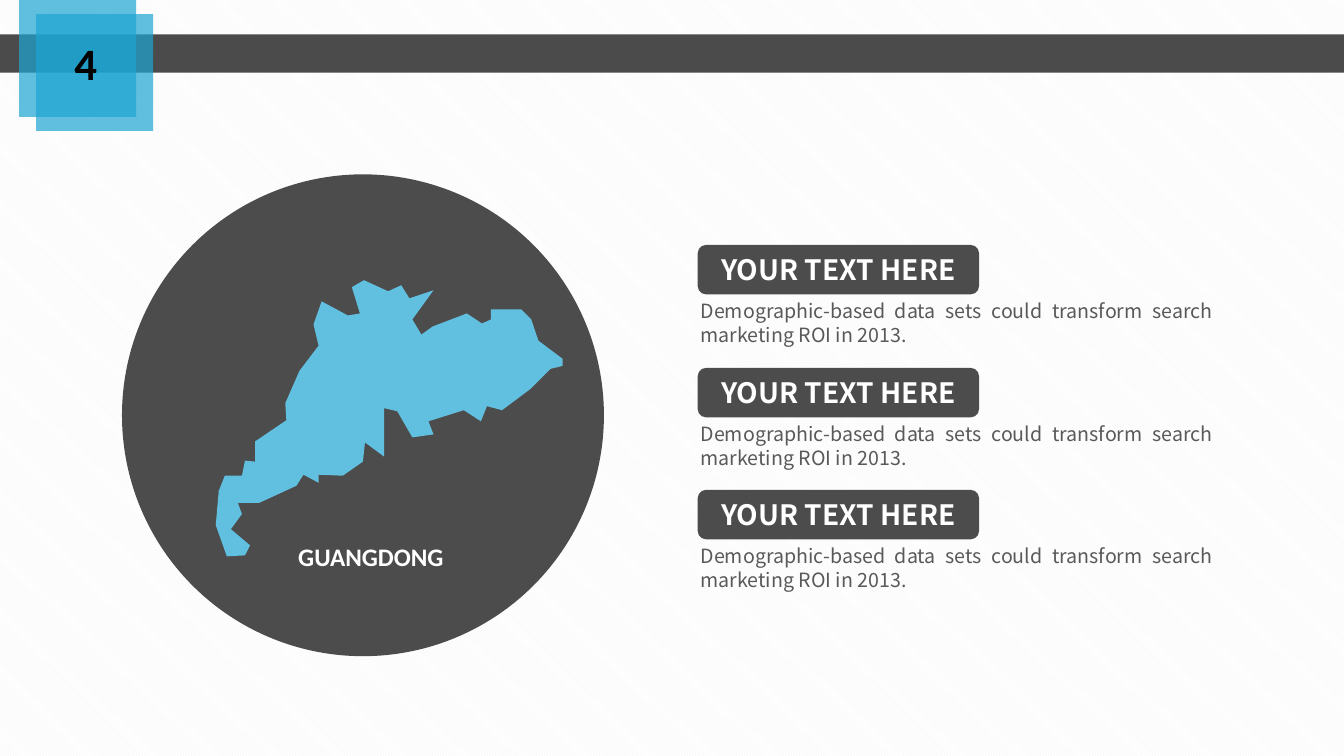
from dataclasses import dataclass

from lxml import etree
from pptx import Presentation
from pptx import util as u
from pptx.dml.color import RGBColor
from pptx.enum import dml, shapes, text
from pptx.oxml.ns import qn
from pptx.shapes.autoshape import Shape
from pptx.slide import Slide

PX = 9144  # EMU in one px, 100 px to the inch

BLACK = RGBColor(0x00, 0x00, 0x00)
WHITE = RGBColor(0xFF, 0xFF, 0xFF)
STRIPE = RGBColor(0xF2, 0xF2, 0xF2)
CHARCOAL = RGBColor(0x4C, 0x4C, 0x4C)
BODY_GREY = RGBColor(0x59, 0x59, 0x59)
BLUE = RGBColor(0x1E, 0xA5, 0xD2)
MAP_BLUE = RGBColor(0x61, 0xC0, 0xDF)

LATIN = "Calibri"
SANS = "Noto Sans CJK SC"

GUANGDONG = [
    (546, 366), (558, 363), (558, 356), (534, 338), (527, 317), (517, 307),
    (487, 307), (487, 317), (478, 321), (463, 311), (429, 324), (418, 332),
    (409, 317), (430, 288), (406, 296), (398, 283), (385, 289), (361, 278),
    (349, 285), (357, 311), (345, 313), (319, 299), (311, 322), (316, 343),
    (297, 368), (283, 400), (284, 417), (253, 438), (253, 458), (243, 457),
    (240, 472), (223, 472), (217, 487), (214, 521), (225, 552), (243, 551),
    (248, 541), (229, 525), (240, 510), (236, 499), (257, 499), (294, 482),
    (301, 471), (316, 479), (316, 471), (340, 472), (360, 458), (362, 439),
    (381, 453), (381, 405), (394, 408), (409, 434), (430, 431), (425, 418),
    (460, 407), (477, 418), (483, 403), (498, 407), (526, 386),
]


@dataclass(frozen=True)
class Area:
    left: int
    top: int
    width: int
    height: int

    def emu(self) -> tuple[int, int, int, int]:
        return self.left * PX, self.top * PX, self.width * PX, self.height * PX


@dataclass(frozen=True)
class Style:
    font: str
    size: int
    color: RGBColor
    bold: bool = True
    align: text.PP_ALIGN = text.PP_ALIGN.LEFT


@dataclass(frozen=True)
class Topic:
    top: int
    heading: str = "YOUR TEXT HERE"
    body: str = (
        "Demographic-based data sets could transform search marketing ROI in 2013."
    )


NUMBER = Style(LATIN, 32, BLACK)
REGION = Style(LATIN, 18, WHITE)
HEADING = Style(SANS, 20, WHITE, align=text.PP_ALIGN.CENTER)
BODY = Style(SANS, 14, BODY_GREY, bold=False, align=text.PP_ALIGN.JUSTIFY)

TOPICS = [Topic(243), Topic(365), Topic(486)]


def paint(shape: Shape, color: RGBColor, opacity: int = 100) -> None:
    """Give a shape a flat fill, without line or shadow; opacity is in percent."""
    shape.shadow.inherit = False
    shape.line.fill.background()
    shape.fill.solid()
    shape.fill.fore_color.rgb = color
    if opacity < 100:
        tint = shape.element.spPr.find(qn("a:solidFill"))[0]
        etree.SubElement(tint, qn("a:alpha")).set("val", str(opacity * 1000))


def add_block(page: Slide, kind: shapes.MSO_SHAPE, area: Area,
              color: RGBColor, opacity: int = 100) -> Shape:
    block = page.shapes.add_shape(kind, *area.emu())
    paint(block, color, opacity)
    return block


def write(shape: Shape, words: str, style: Style) -> None:
    para = shape.text_frame.paragraphs[0]
    para.alignment = style.align
    span = para.add_run()
    span.text = words
    span.font.name = style.font
    span.font.size = u.Pt(style.size)
    span.font.bold = style.bold
    span.font.color.rgb = style.color


def add_label(page: Slide, area: Area, words: str, style: Style,
              wrap: bool = False) -> None:
    box = page.shapes.add_textbox(*area.emu())
    box.text_frame.word_wrap = wrap
    write(box, words, style)


def add_header(page: Slide) -> None:
    rect = shapes.MSO_SHAPE.RECTANGLE
    add_block(page, rect, Area(0, 34, 1333, 38), BLACK, 70)
    for left, top in ((19, 0), (36, 14)):
        add_block(page, rect, Area(left, top, 116, 116), BLUE, 70)
    add_label(page, Area(64, 31, 43, 64), "4", NUMBER)


def add_map(page: Slide) -> None:
    add_block(page, shapes.MSO_SHAPE.OVAL, Area(121, 173, 478, 478), CHARCOAL)
    outline = page.shapes.build_freeform(*GUANGDONG[0], scale=PX)
    outline.add_line_segments(GUANGDONG[1:], close=True)
    paint(outline.convert_to_shape(), MAP_BLUE)
    add_label(page, Area(286, 532, 166, 40), "GUANGDONG", REGION)


def add_topic(page: Slide, topic: Topic) -> None:
    bar = add_block(page, shapes.MSO_SHAPE.ROUNDED_RECTANGLE,
                    Area(692, topic.top, 279, 49), CHARCOAL)
    bar.text_frame.vertical_anchor = text.MSO_ANCHOR.MIDDLE
    write(bar, topic.heading, HEADING)
    add_label(page, Area(685, topic.top + 49, 528, 57), topic.body, BODY, wrap=True)


def main() -> None:
    deck = Presentation()
    deck.slide_width, deck.slide_height = 1333 * PX, 750 * PX
    page = deck.slides.add_slide(deck.slide_layouts[6])
    backdrop = page.background.fill
    backdrop.patterned()
    backdrop.pattern = dml.MSO_PATTERN.LIGHT_DOWNWARD_DIAGONAL
    backdrop.fore_color.rgb = STRIPE
    backdrop.back_color.rgb = WHITE
    add_header(page)
    add_map(page)
    for topic in TOPICS:
        add_topic(page, topic)
    deck.save("out.pptx")


if __name__ == "__main__":
    main()
